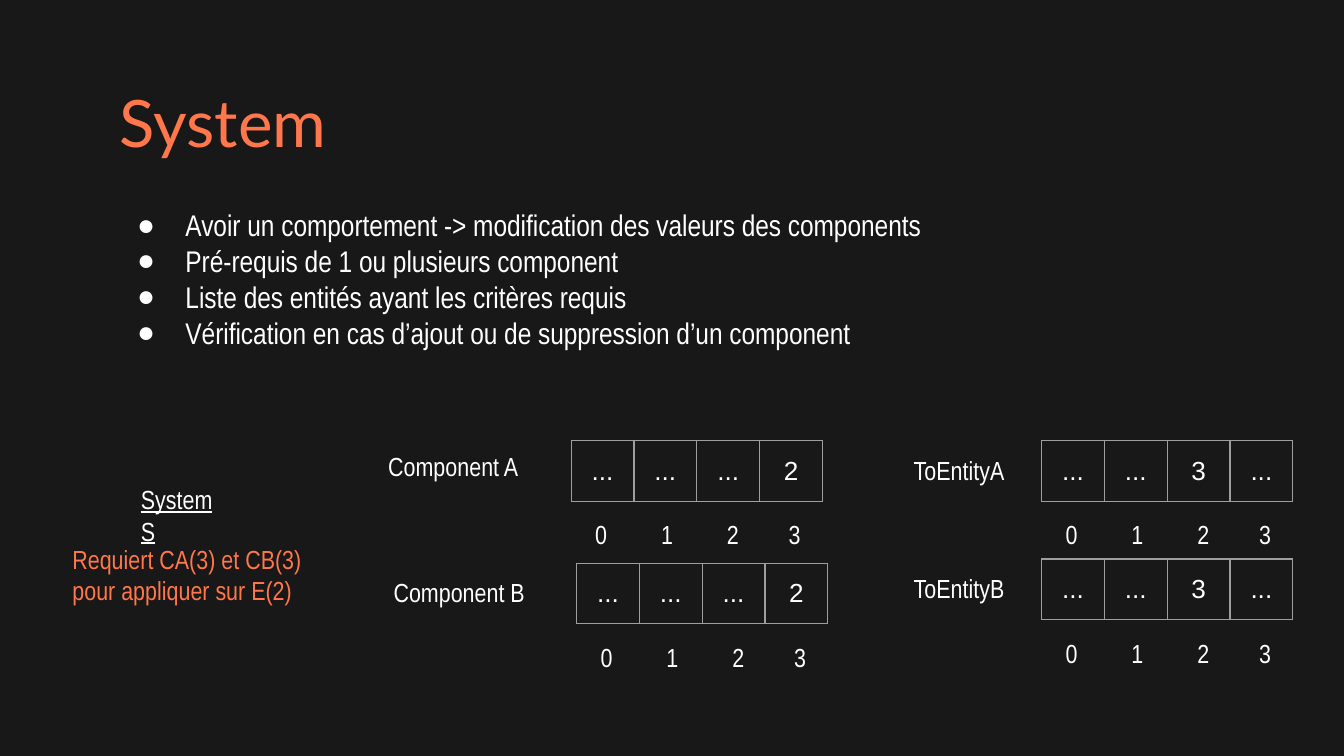
from lxml.etree import SubElement
from pptx import Presentation
from pptx.dml.color import RGBColor
from pptx.enum.text import MSO_ANCHOR, MSO_AUTO_SIZE, PP_ALIGN
from pptx.oxml.ns import qn
from pptx.util import Inches, Pt

WHITE, CORAL, GREY, DARK = "FFFFFF", "FF774B", "9E9E9E", "181818"


def color(text):
    return RGBColor.from_string(text)


class Deck:
    """Holds the style and the current slide."""
    body, plain, head = "Arial Narrow", "Arial", "Lato"
    size = 14
    grid = (1.87, 0.45)
    marks = (0.08, 0.57, 1.06, 1.52)

    def __init__(self, slide):
        self.slide = slide
        fill = slide.background.fill
        fill.solid()
        fill.fore_color.rgb = color(DARK)

    def run(self, para, text, size=size, font=body, tint=WHITE, under=None):
        run = para.add_run()
        run.text = text
        run.font.size = Pt(size)
        run.font.name = font
        run.font.color.rgb = color(tint)
        run.font.underline = under

    def frame(self, shape, anchor=MSO_ANCHOR.TOP, fit=MSO_AUTO_SIZE.NONE):
        frame = shape.text_frame
        frame.word_wrap = True
        frame.auto_size = fit
        frame.vertical_anchor = anchor
        frame.margin_left = frame.margin_right = Inches(0.1)
        frame.margin_top = frame.margin_bottom = Inches(0.1)
        return frame

    def place(self, shape, x, y, w, h):
        shape.left, shape.top = Inches(x), Inches(y)
        shape.width, shape.height = Inches(w), Inches(h)

    def title(self, text, *box):
        shape = self.slide.shapes.title
        self.place(shape, *box)
        para = self.frame(shape, MSO_ANCHOR.MIDDLE).paragraphs[0]
        para.alignment = PP_ALIGN.LEFT
        self.run(para, text, 35, self.head, CORAL)

    def bullets(self, lines, *box):
        shape = self.slide.placeholders[1]
        self.place(shape, *box)
        frame = self.frame(shape)
        for i, line in enumerate(lines):
            para = frame.add_paragraph() if i else frame.paragraphs[0]
            para.space_before = Pt(0)
            props = para._p.get_or_add_pPr()
            props.set("marL", str(Inches(0.5)))
            props.set("indent", str(Inches(-0.36)))
            tint = SubElement(props, qn("a:buClr"))
            SubElement(tint, qn("a:srgbClr"), val=WHITE)
            SubElement(props, qn("a:buFont"), typeface=self.plain)
            SubElement(props, qn("a:buChar"), char="●")
            self.run(para, line, 16)

    def text(self, text, x, y, w, h=0.44, **style):
        shape = self.slide.shapes.add_textbox(
            Inches(x), Inches(y), Inches(w), Inches(h))
        frame = self.frame(shape, fit=MSO_AUTO_SIZE.SHAPE_TO_FIT_TEXT)
        self.run(frame.paragraphs[0], text, **style)

    def border(self, cell):
        props = cell._tc.get_or_add_tcPr()
        for side in ("lnL", "lnR", "lnT", "lnB"):
            line = SubElement(props, qn("a:" + side), w=str(Pt(0.75)))
            fill = SubElement(line, qn("a:solidFill"))
            SubElement(fill, qn("a:srgbClr"), val=GREY)

    def table(self, values, x, y):
        wide, high = self.grid
        table = self.slide.shapes.add_table(
            1, len(values), Inches(x), Inches(y),
            Inches(wide), Inches(high)).table
        table.first_row = table.horz_banding = False
        for cell, value in zip(table.iter_cells(), values):
            self.border(cell)
            cell.fill.background()
            cell.vertical_anchor = MSO_ANCHOR.MIDDLE
            cell.margin_left = cell.margin_right = Inches(0.1)
            cell.margin_top = cell.margin_bottom = Inches(0.1)
            para = cell.text_frame.paragraphs[0]
            para.alignment = PP_ALIGN.CENTER
            self.run(para, value, font=self.plain)

    def array(self, name, label, values, x, y):
        """A table with its label on the left and indices below."""
        self.table(values, x, y)
        self.text(name, *label)
        for i, step in enumerate(self.marks):
            self.text(str(i), x + step, y + 0.48, 0.29)


def main():
    prs = Presentation()
    prs.slide_width = Inches(10)
    prs.slide_height = Inches(10 * 9 / 16)
    deck = Deck(prs.slides.add_slide(prs.slide_layouts[1]))

    # Title and list
    deck.title("System", 0.79, 0.59, 8.43, 0.63)
    deck.bullets((
        "Avoir un comportement -> modification des valeurs des components",
        "Pré-requis de 1 ou plusieurs component",
        "Liste des entités ayant les critères requis",
        "Vérification en cas d’ajout ou de suppression d’un component",
    ), 0.78, 1.44, 8.43, 1.31)

    # Component and entity arrays
    parts = ("...", "...", "...", "2")
    links = ("...", "...", "3", "...")
    for name, label, values, x, y in (
            ("Component A", (2.79, 3.25, 1.38), parts, 4.25, 3.28),
            ("Component B", (2.83, 4.19, 1.38), parts, 4.29, 4.19),
            ("ToEntityA", (6.7, 3.28, 0.88), links, 7.75, 3.28),
            ("ToEntityB", (6.7, 4.16, 0.88), links, 7.75, 4.16)):
        deck.array(name, label, values, x, y)

    # System and what it requires
    deck.text("System S", 0.95, 3.5, 0.88, under=True)
    deck.text("Requiert CA(3) et CB(3) pour appliquer sur E(2)",
              0.44, 3.94, 2.15, 0.67, tint=CORAL)

    prs.save("out.pptx")


if __name__ == "__main__":
    main()
